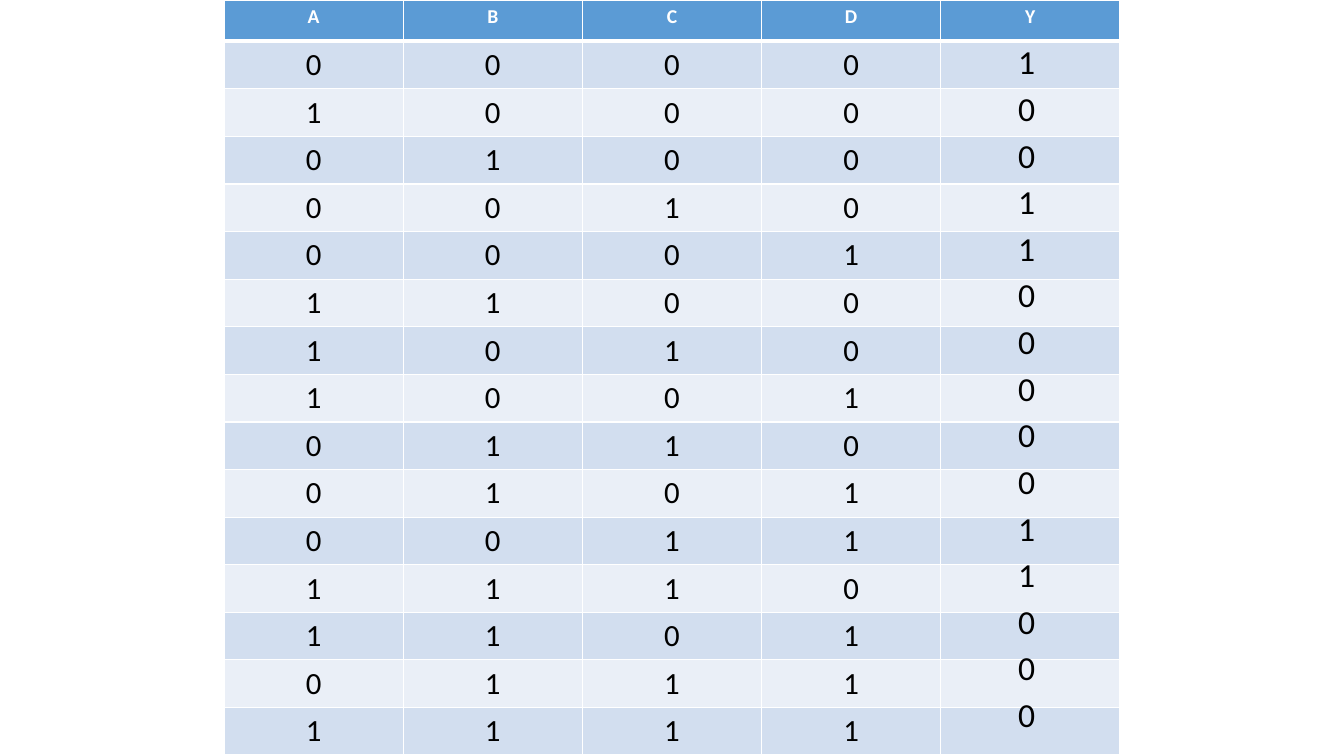
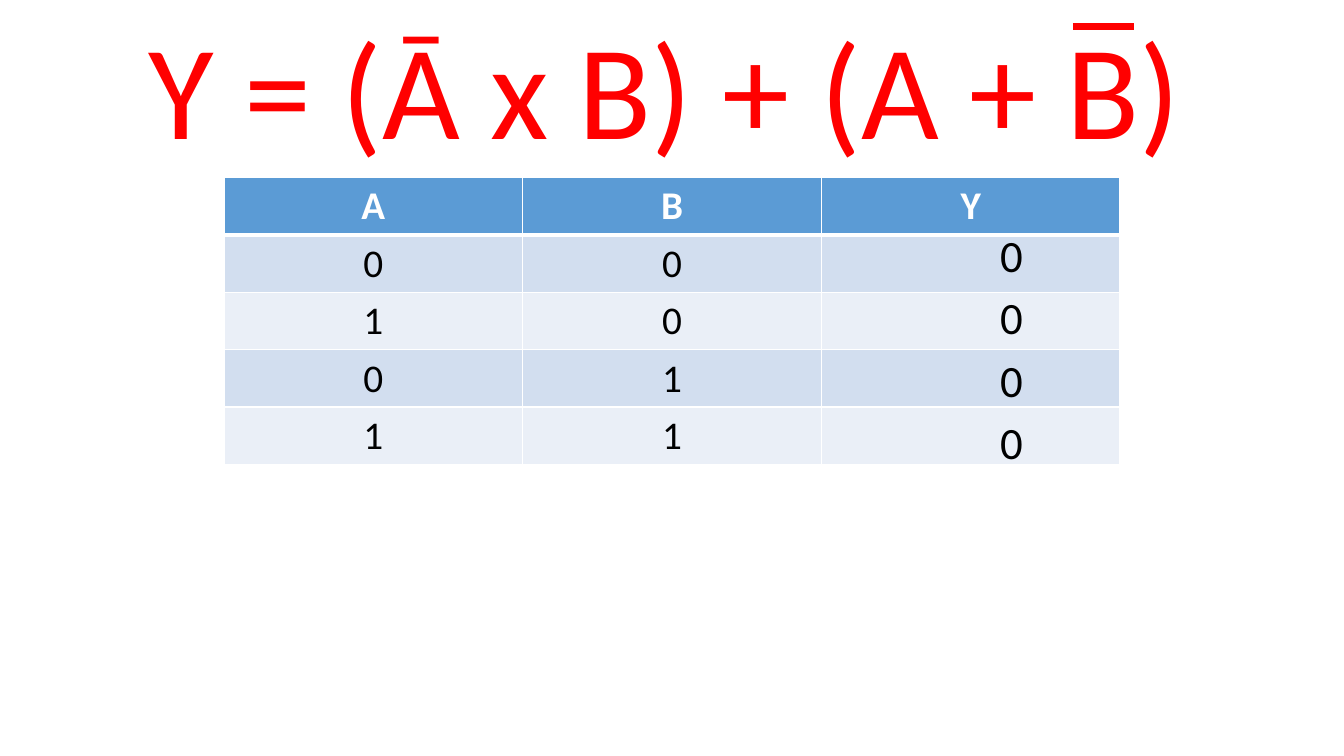
from lxml.etree import SubElement
from pptx import Presentation
from pptx.dml.color import RGBColor
from pptx.enum.shapes import MSO_CONNECTOR
from pptx.enum.text import MSO_ANCHOR, MSO_AUTO_SIZE, PP_ALIGN
from pptx.oxml.ns import qn
from pptx.util import Inches, Pt

SLIDE_WIDTH, SLIDE_HEIGHT = 13.33, 7.5
TABLE_LEFT, TABLE_WIDTH = SLIDE_WIDTH / 6, SLIDE_WIDTH * 2 / 3
FONT = "Calibri"
WHITE, BLACK, RED = "FFFFFF", "000000", "FF0000"
HEADER_FILL, BAND_FILLS = "5B9BD5", ("D2DEEF", "EAEFF7")
TITLE_ONLY, BLANK = 5, 6

FOUR_INPUTS = ["0000", "1000", "0100", "0010", "0001", "1100", "1010", "1001",
               "0110", "0101", "0011", "1110", "1101", "0111", "1111"]
TWO_INPUTS = ["00", "10", "01", "11"]


def color(value):
    """Turn a hex string into a colour."""
    return RGBColor.from_string(value)


def format_paragraph(paragraph, size, text_color, bold=False, align=PP_ALIGN.LEFT):
    """Give a paragraph and its runs the shared font."""
    paragraph.alignment = align
    for run in paragraph.runs:
        run.font.name = FONT
        run.font.size = Pt(size)
        run.font.bold = bold
        run.font.color.rgb = color(text_color)


def format_cell(cell, text, fill, size, text_color, header):
    """Write one centred table cell with white borders."""
    properties = cell._tc.get_or_add_tcPr()
    for side in "LRTB":
        width = Pt(3) if header and side == "B" else Pt(1)
        border = SubElement(properties, qn(f"a:ln{side}"), w=str(width))
        SubElement(SubElement(border, qn("a:solidFill")), qn("a:srgbClr"), val=WHITE)
    cell.fill.solid()
    cell.fill.fore_color.rgb = color(fill)
    if text:
        cell.text_frame.text = text
        format_paragraph(cell.text_frame.paragraphs[0], size, text_color, header, PP_ALIGN.CENTER)


def add_truth_table(slide, top, names, inputs, header_size, size, header_height, row_height):
    """Place a truth table whose last column is left open for the answers."""
    height = header_height + row_height * len(inputs)
    table = slide.shapes.add_table(
        len(inputs) + 1, len(names), Inches(TABLE_LEFT), Inches(top),
        Inches(TABLE_WIDTH), Inches(height)).table
    for index, row in enumerate(table.rows):
        header = index == 0
        row.height = Inches(header_height if header else row_height)
        texts = names if header else inputs[index - 1] + " "
        fill = HEADER_FILL if header else BAND_FILLS[(index - 1) % 2]
        for cell, text in zip(row.cells, texts):
            format_cell(cell, text.strip(), fill, header_size if header else size,
                        WHITE if header else BLACK, header)


def add_answers(slide, box, answers, size, gap):
    """Place the Y values as a column of paragraphs."""
    text_frame = slide.shapes.add_textbox(*map(Inches, box)).text_frame
    text_frame.word_wrap = False
    text_frame.auto_size = MSO_AUTO_SIZE.SHAPE_TO_FIT_TEXT
    text_frame.text = "\n".join(answers)
    for paragraph in text_frame.paragraphs:
        format_paragraph(paragraph, size, BLACK)
        paragraph.space_after = Pt(gap)


def set_formula(slide, box, text):
    """Move the title placeholder to the box and write the formula in it."""
    title = slide.shapes.title
    title.left, title.top, title.width, title.height = map(Inches, box)
    text_frame = title.text_frame
    text_frame.text = text
    text_frame.word_wrap = False
    text_frame.auto_size = MSO_AUTO_SIZE.SHAPE_TO_FIT_TEXT
    text_frame.vertical_anchor = MSO_ANCHOR.TOP
    format_paragraph(text_frame.paragraphs[0], 96, RED)


def add_negation_bar(slide, left, right, top):
    """Draw the bar over a negated letter."""
    bar = slide.shapes.add_connector(
        MSO_CONNECTOR.STRAIGHT, Inches(left), Inches(top), Inches(right), Inches(top))
    bar.line.color.rgb = color(RED)
    bar.line.width = Pt(5)
    SubElement(bar._element.spPr, qn("a:effectLst"))


def build_four_input_slide(presentation):
    """Build the slide with the table of four inputs."""
    slide = presentation.slides.add_slide(presentation.slide_layouts[BLANK])
    add_truth_table(slide, 0, "ABCDY", FOUR_INPUTS, 14, 22, 0.41, 0.47)
    add_answers(slide, (10, 0.36, 0.37, 7.14), "100110000011000", 24, 4.5)


def build_two_input_slide(presentation):
    """Build the slide with the formula and its table of two inputs."""
    slide = presentation.slides.add_slide(presentation.slide_layouts[TITLE_ONLY])
    add_truth_table(slide, 1.76, "ABY", TWO_INPUTS, 28, 28, 0.57, 0.57)
    set_formula(slide, (1.37, 0, 10.55, 1.72), "Y = (Ā x B) + (A + B)")
    add_negation_bar(slide, 10.64, 11.25, 0.26)
    add_answers(slide, (9.82, 2.21, 0.43, 2.55), "0000", 32, 6.2)


def main():
    """Build and save the presentation."""
    presentation = Presentation()
    presentation.slide_width = Inches(SLIDE_WIDTH)
    presentation.slide_height = Inches(SLIDE_HEIGHT)
    build_four_input_slide(presentation)
    build_two_input_slide(presentation)
    presentation.save("out.pptx")


if __name__ == "__main__":
    main()
